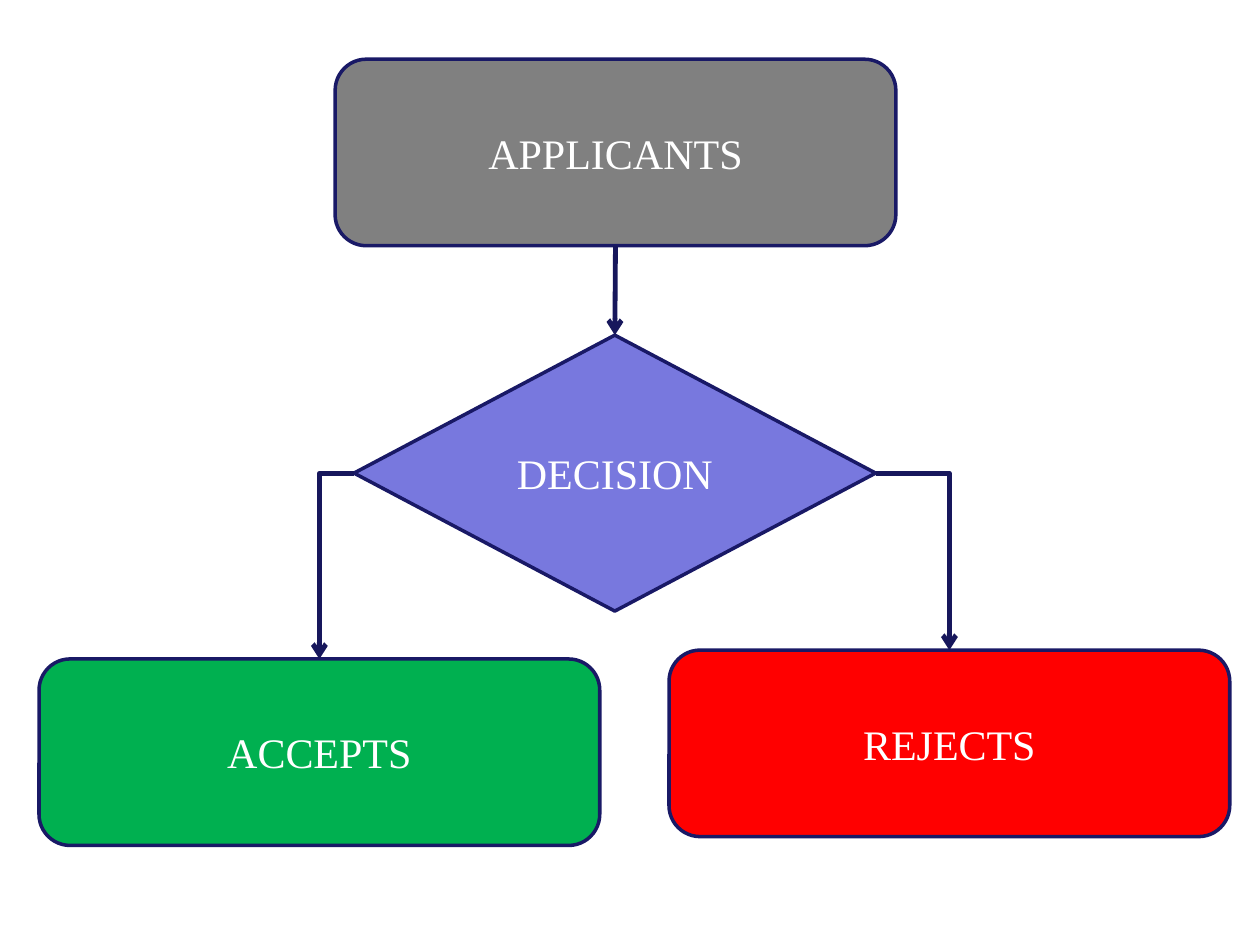
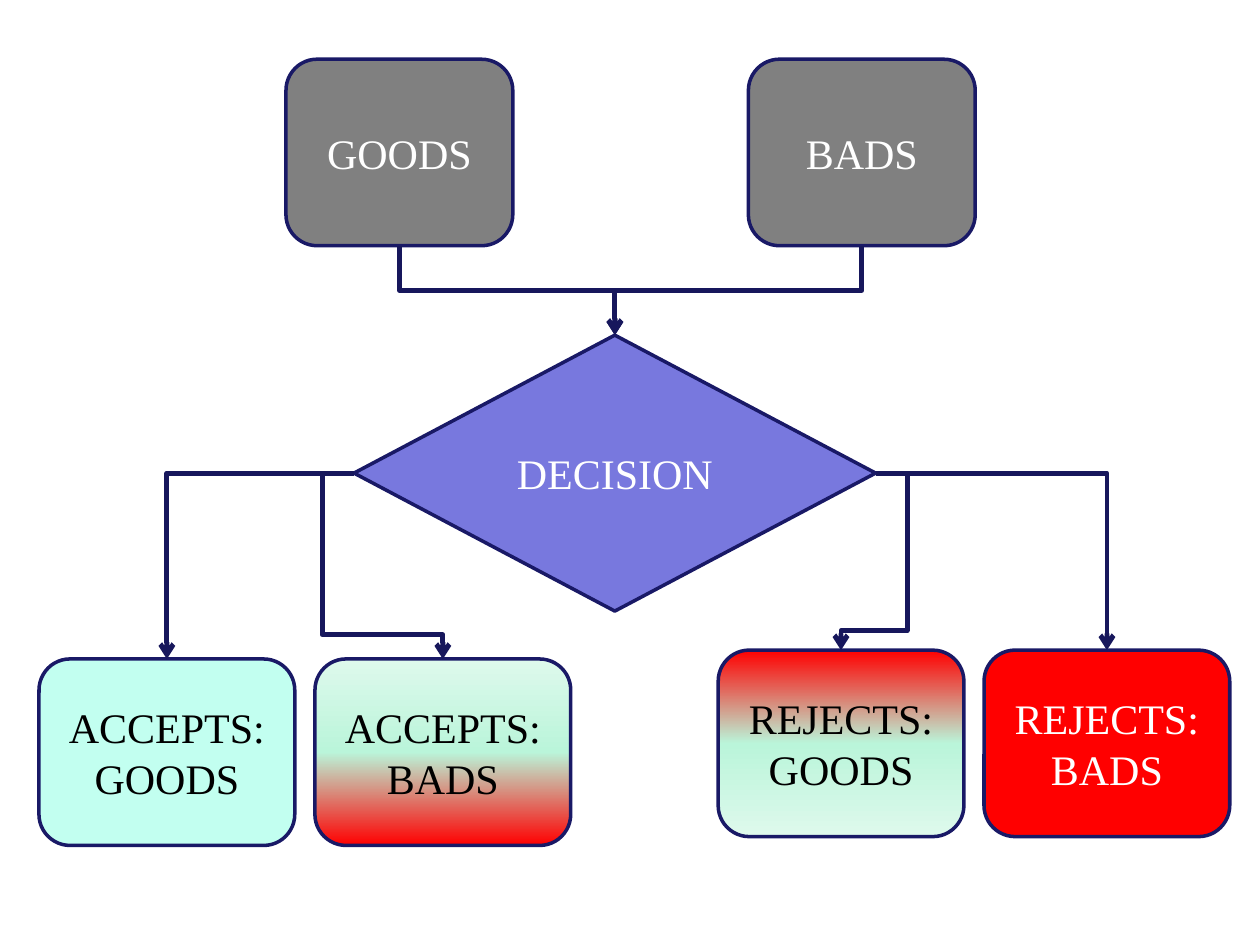
from dataclasses import dataclass

from lxml.etree import SubElement
from pptx import Presentation
from pptx.dml.color import RGBColor
from pptx.enum.shapes import MSO_CONNECTOR as Link, MSO_SHAPE as Kind
from pptx.enum.text import MSO_ANCHOR as Anchor, PP_ALIGN as Align
from pptx.oxml.ns import qn
from pptx.shapes.autoshape import Shape
from pptx.shapes.connector import Connector
from pptx.slide import Slide
from pptx.util import Inches, Pt

FONT = "Times New Roman"
WHITE, BLACK = "FFFFFF", "000000"
GRAY, BLUE, GREEN, MINT, RED = "808080", "7878DE", "00B050", "C2FFF0", "FF0000"
EDGE, ARROW = "191966", "17175C"
BLEND = ((0, RED), (50, "BAF5DA"), (100, "DEF9EC"))
UP, DOWN = 270, 90
TOP, LEFT, BOTTOM, RIGHT = range(4)
INPUT_TOP, ACCEPT_TOP, REJECT_TOP = 0.47, 5.23, 5.16
BOX_HIGH = 1.48


@dataclass
class Node:
    text: str
    left: float
    top: float
    width: float
    fill: str = GRAY
    color: str = WHITE
    height: float = BOX_HIGH
    kind: Kind = Kind.ROUNDED_RECTANGLE
    blend: int | None = None  # direction of the colour blend


DECISION = Node("DECISION", 2.81, 2.66, 4.14, BLUE, height=2.19,
                kind=Kind.FLOWCHART_DECISION)


def rgb(code: str) -> RGBColor:
    return RGBColor.from_string(code)


def blend(shape: Shape, angle: int) -> None:
    """Fill with the three-stop blend, angle clockwise from left to right."""
    shape.fill.gradient()
    grad = shape.element.spPr.find(qn("a:gradFill"))
    stops = grad.find(qn("a:gsLst"))
    for old in list(stops):
        stops.remove(old)
    for place, code in BLEND:
        stop = SubElement(stops, qn("a:gs"), pos=str(place * 1000))
        SubElement(stop, qn("a:srgbClr"), val=code)
    grad.find(qn("a:lin")).set("ang", str(angle * 60000))


def draw(slide: Slide, node: Node) -> Shape:
    shape = slide.shapes.add_shape(
        node.kind, Inches(node.left), Inches(node.top),
        Inches(node.width), Inches(node.height))
    shape.shadow.inherit = False
    if node.blend is None:
        shape.fill.solid()
        shape.fill.fore_color.rgb = rgb(node.fill)
    else:
        blend(shape, node.blend)
    shape.line.color.rgb = rgb(EDGE)
    shape.line.width = Pt(2)
    frame = shape.text_frame
    frame.word_wrap = True
    frame.vertical_anchor = Anchor.MIDDLE
    para = frame.paragraphs[0]
    para.text = node.text
    para.alignment = Align.CENTER
    para.font.name = FONT
    para.font.size = Pt(24)
    para.font.color.rgb = rgb(node.color)
    return shape


def join(slide: Slide, start: Shape, exit: int, end: Shape,
         kind: Link = Link.ELBOW) -> Connector:
    """Draw an arrow from one side of start to the top of end."""
    line = slide.shapes.add_connector(kind, 0, 0, 0, 0)
    line.begin_connect(start, exit)
    line.end_connect(end, TOP)
    line.line.color.rgb = rgb(ARROW)
    line.line.width = Pt(2.75)
    props = line.element.spPr
    SubElement(props.find(qn("a:ln")), qn("a:tailEnd"), type="arrow")
    SubElement(props, qn("a:effectLst"))
    return line


def merge(slide: Slide, start: Shape, end: Shape) -> None:
    """Go down, across and down again: a quarter-turned elbow."""
    line = join(slide, start, BOTTOM, end)
    wide, high = line.end_x - line.begin_x, line.end_y - line.begin_y
    mid_x, mid_y = line.begin_x + wide // 2, line.begin_y + high // 2
    line.begin_x, line.end_x = mid_x - high // 2, mid_x + high // 2
    line.begin_y, line.end_y = mid_y + wide // 2, mid_y - wide // 2
    line.element.spPr.find(qn("a:xfrm")).set("rot", str(90 * 60000))


def branch(slide: Slide, start: Shape, exit: int, end: Shape,
           bend: tuple[float, float] | None = None) -> None:
    """Go sideways and down; bend gives the turns of a four-part route."""
    line = join(slide, start, exit, end)
    geom = line.element.spPr.find(qn("a:prstGeom"))
    geom.set("prst", "bentConnector4" if bend else "bentConnector2")
    guides = geom.find(qn("a:avLst"))
    for num, part in enumerate(bend or (), 1):
        SubElement(guides, qn("a:gd"), name=f"adj{num}",
                   fmla=f"val {round(part * 100000)}")


def simple(slide: Slide) -> None:
    nodes = (
        Node("APPLICANTS", 2.66, INPUT_TOP, 4.45),
        Node("ACCEPTS", 0.31, ACCEPT_TOP, 4.45, GREEN),
        Node("REJECTS", 5.31, REJECT_TOP, 4.45, RED),
        DECISION,
    )
    people, accept, reject, choice = [draw(slide, node) for node in nodes]
    join(slide, people, BOTTOM, choice, Link.STRAIGHT)
    branch(slide, choice, LEFT, accept)
    branch(slide, choice, RIGHT, reject)


def split(slide: Slide) -> None:
    nodes = (
        Node("GOODS", 2.27, INPUT_TOP, 1.8),
        Node("BADS", 5.94, INPUT_TOP, 1.8),
        DECISION,
        Node("ACCEPTS:\vGOODS", 0.31, ACCEPT_TOP, 2.03, MINT, BLACK),
        Node("ACCEPTS:\vBADS", 2.5, ACCEPT_TOP, 2.03, color=BLACK, blend=UP),
        Node("REJECTS:\vGOODS", 5.7, REJECT_TOP, 1.95, color=BLACK, blend=DOWN),
        Node("REJECTS:\vBADS", 7.81, REJECT_TOP, 1.95, RED),
    )
    goods, bads, choice, *ends = [draw(slide, node) for node in nodes]
    for group in (goods, bads):
        merge(slide, group, choice)
    routes = ((LEFT, None), (LEFT, (-0.36, 0.87)),
              (RIGHT, (-0.91, 0.89)), (RIGHT, None))
    for end, (side, bend) in zip(ends, routes):
        branch(slide, choice, side, end, bend)


def main() -> None:
    deck = Presentation()
    deck.slide_width, deck.slide_height = Inches(10), Inches(7.5)
    blank = deck.slide_layouts[6]
    for fill in (simple, split):
        fill(deck.slides.add_slide(blank))
    deck.save("out.pptx")


if __name__ == "__main__":
    main()
